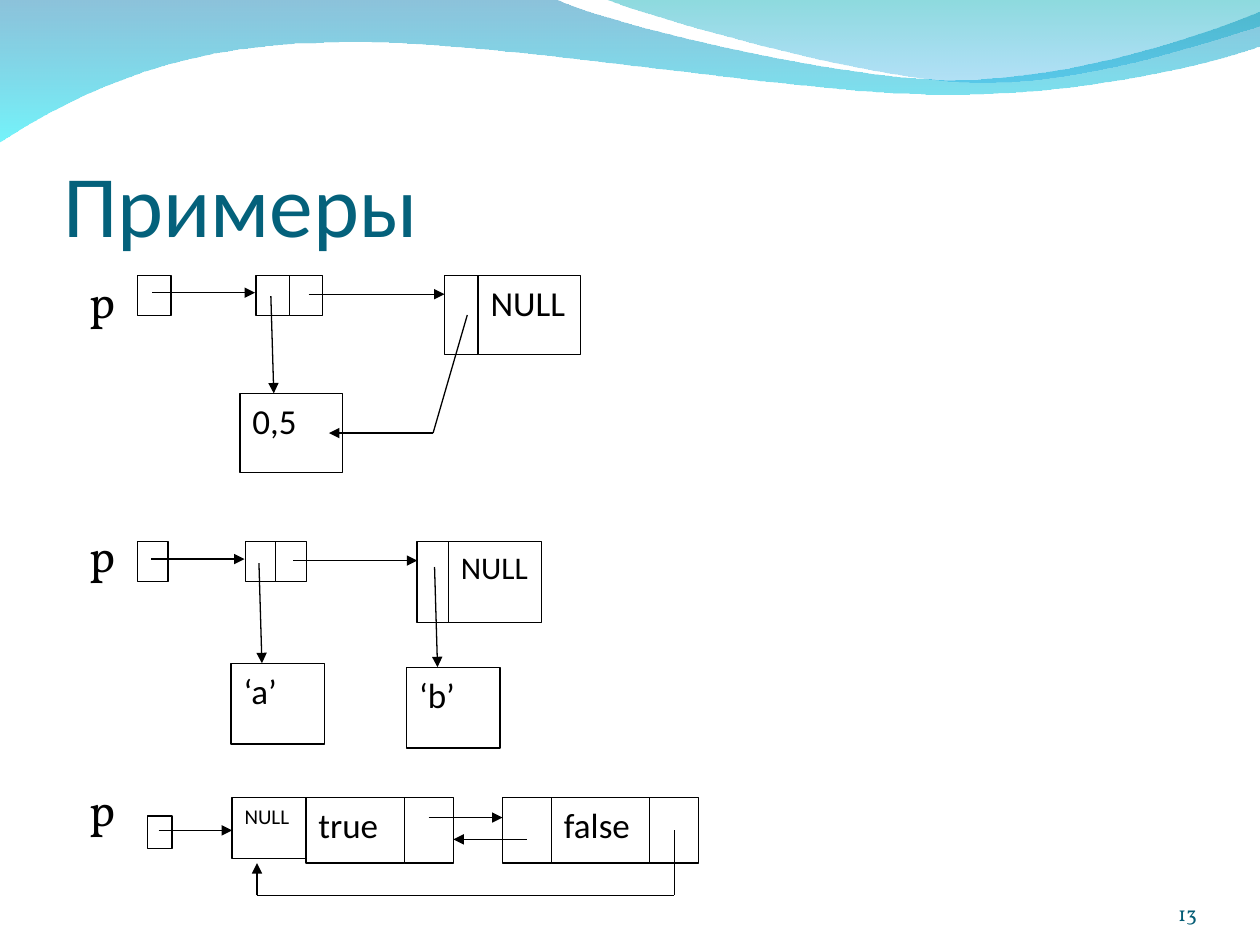
from dataclasses import dataclass

from lxml.etree import SubElement
from pptx import Presentation
from pptx.dml.color import RGBColor
from pptx.enum.shapes import MSO_CONNECTOR, MSO_SHAPE
from pptx.enum.text import MSO_ANCHOR, MSO_AUTO_SIZE, PP_ALIGN
from pptx.oxml.ns import qn
from pptx.util import Cm, Pt


@dataclass
class Box:
    x: float
    y: float
    w: float
    h: float
    text: str = ""
    size: int = 20


@dataclass
class Line:
    x1: float
    y1: float
    x2: float
    y2: float
    head: bool = True


@dataclass
class Chain:
    boxes: list[Box]
    lines: list[Line]


@dataclass
class Wave:
    start: tuple
    steps: list[tuple]
    stops: list[tuple]


WAVES = [
    Wave(
        (0, -0.03),
        [
            (11.18, -0.03),
            (12.09, 0.43, 16.87, 1.6, 19.25, 1.6),
            (21.67, 1.6, 24.33, 0.66, 25.4, 0.23),
            (25.43, 0.91),
            (24.97, 1.12, 22.1, 1.93, 18.95, 1.9),
            (15.8, 1.9, 9.7, 0.71, 6.53, 0.86),
            (3.28, 0.89, 1.17, 2.11, -0.03, 2.87),
        ],
        [("0079AF", 45), ("00EBF8", 55)],
    ),
    Wave(
        (12.17, -0.03),
        [
            (12.93, 0.28, 17.32, 1.57, 19.53, 1.65),
            (21.74, 1.75, 24.41, 0.81, 25.4, 0.53),
            (25.4, 0),
        ],
        [("00ADB6", 45), ("009BE5", 30)],
    ),
]

CHAINS = [
    Chain(
        [Box(x, 5.56, 0.68, 0.8) for x in (2.77, 5.16, 5.83)]
        + [
            Box(8.96, 5.56, 0.68, 1.59),
            Box(9.64, 5.56, 2.06, 1.59, "NULL"),
            Box(4.84, 7.93, 2.06, 1.59, "0,5"),
        ],
        [
            Line(3.07, 5.9, 5.14, 5.9),
            Line(6.22, 5.93, 8.96, 5.93),
            Line(5.46, 5.97, 5.52, 7.93),
            Line(9.42, 6.35, 8.73, 8.73, head=False),
            Line(8.72, 8.73, 6.63, 8.73),
        ],
    ),
    Chain(
        [Box(x, 10.92, 0.62, 0.81) for x in (2.77, 4.95, 5.56)]
        + [
            Box(8.41, 10.92, 0.63, 1.63),
            Box(9.04, 10.92, 1.88, 1.63, "NULL", 18),
            Box(4.66, 13.37, 1.88, 1.63, "‘a’"),
            Box(8.2, 13.45, 1.88, 1.63, "‘b’"),
        ],
        [
            Line(3.05, 11.27, 4.93, 11.27),
            Line(5.91, 11.3, 8.41, 11.3),
            Line(5.22, 11.35, 5.28, 13.37),
            Line(8.76, 11.43, 8.82, 13.45),
        ],
    ),
    Chain(
        [
            Box(2.98, 16.45, 0.49, 0.66),
            Box(4.68, 16.08, 1.49, 1.23, "NULL", 12),
            Box(6.17, 16.08, 1.98, 1.32, "true"),
            Box(8.15, 16.08, 0.99, 1.32),
            Box(10.13, 16.08, 0.99, 1.32),
            Box(11.12, 16.08, 1.98, 1.32, "false"),
            Box(13.1, 16.08, 0.99, 1.32),
        ],
        [
            Line(3.2, 16.74, 4.68, 16.74),
            Line(8.64, 16.48, 10.13, 16.48),
            Line(10.62, 16.92, 9.14, 16.92),
            Line(13.59, 16.74, 13.59, 18.05, head=False),
            Line(13.59, 18.05, 5.18, 18.05, head=False),
            Line(5.18, 18.05, 5.18, 17.4),
        ],
    ),
]


def tint(code: str) -> RGBColor:
    return RGBColor.from_string(code)


def write(frame, lines: list[str], face: str, size: int, color: str, align=PP_ALIGN.LEFT, gap: float = 0) -> None:
    frame.word_wrap = True
    for i, text in enumerate(lines):
        line = frame.add_paragraph() if i else frame.paragraphs[0]
        line.text = text
        line.alignment = align
        if i:
            line.space_before = Pt(gap)
        line.font.name = face
        line.font.size = Pt(size)
        line.font.color.rgb = tint(color)


def bend(shape, steps: list[tuple]) -> None:
    edges = iter(list(shape._element.spPr.iter(qn("a:lnTo"))))
    for step in steps:
        first = next(edges)
        if len(step) == 6:
            first.tag = qn("a:cubicBezTo")
            for _ in range(2):
                edge = next(edges)
                first.append(edge[0])
                edge.getparent().remove(edge)


def draw_wave(slide, wave: Wave) -> None:
    spots = [(Cm(s[i]), Cm(s[i + 1])) for s in wave.steps for i in range(0, len(s), 2)]
    pen = slide.shapes.build_freeform(Cm(wave.start[0]), Cm(wave.start[1]))
    pen.add_line_segments(spots, close=True)
    shape = pen.convert_to_shape()
    bend(shape, wave.steps)
    shape.shadow.inherit = False
    shape.line.fill.background()
    shape.fill.gradient()
    shape.fill.gradient_angle = 270
    for stop, (color, _) in zip(shape.fill.gradient_stops, wave.stops):
        stop.color.rgb = tint(color)
    for node, (_, alpha) in zip(shape._element.spPr.iter(qn("a:srgbClr")), wave.stops):
        SubElement(node, qn("a:alpha"), val=str(alpha * 1000))


def draw_box(group, box: Box) -> None:
    shape = group.shapes.add_shape(MSO_SHAPE.RECTANGLE, Cm(box.x), Cm(box.y), Cm(box.w), Cm(box.h))
    shape.shadow.inherit = False
    shape.fill.solid()
    shape.fill.fore_color.rgb = tint("FFFFFF")
    shape.line.color.rgb = tint("000000")
    shape.line.width = Pt(0.75)
    if box.text:
        frame = shape.text_frame
        frame.vertical_anchor = MSO_ANCHOR.TOP
        write(frame, [box.text], "Calibri", box.size, "000000")


def draw_line(group, line: Line) -> None:
    link = group.shapes.add_connector(
        MSO_CONNECTOR.STRAIGHT, Cm(line.x1), Cm(line.y1), Cm(line.x2), Cm(line.y2)
    )
    link.line.color.rgb = tint("000000")
    link.line.width = Pt(0.75)
    if line.head:
        SubElement(link.line._get_or_add_ln(), qn("a:tailEnd"), type="triangle")
    SubElement(link._element.spPr, qn("a:effectLst"))


def main() -> None:
    deck = Presentation()
    deck.slide_width, deck.slide_height = Cm(25.4), Cm(19.05)
    slide = deck.slides.add_slide(deck.slide_layouts[5])
    for wave in WAVES:
        draw_wave(slide, wave)

    title = slide.shapes.title
    slide.shapes._spTree.append(title._element)
    title.left, title.top, title.width, title.height = Cm(1.27), Cm(1.96), Cm(22.86), Cm(3.18)
    frame = title.text_frame
    frame.auto_size = MSO_AUTO_SIZE.NONE
    frame.vertical_anchor = MSO_ANCHOR.BOTTOM
    frame.margin_left = frame.margin_right = frame.margin_bottom = 0
    write(frame, ["Примеры"], "Calibri", 50, "04617B")

    labels = slide.shapes.add_textbox(Cm(1.55), Cm(5.38), Cm(22.86), Cm(12.19))
    write(labels.text_frame, ["p"] * len(CHAINS), "Vollkorn", 26, "000000", gap=114)

    for chain in CHAINS:
        group = slide.shapes.add_group_shape()
        for box in chain.boxes:
            draw_box(group, box)
        for line in chain.lines:
            draw_line(group, line)

    page = slide.shapes.add_textbox(Cm(22.02), Cm(17.65), Cm(2.11), Cm(1.02)).text_frame
    page.margin_left = page.margin_right = page.margin_top = page.margin_bottom = 0
    page.vertical_anchor = MSO_ANCHOR.BOTTOM
    write(page, ["13"], "Vollkorn", 12, "045C75", PP_ALIGN.RIGHT)
    deck.save("out.pptx")


if __name__ == "__main__":
    main()
